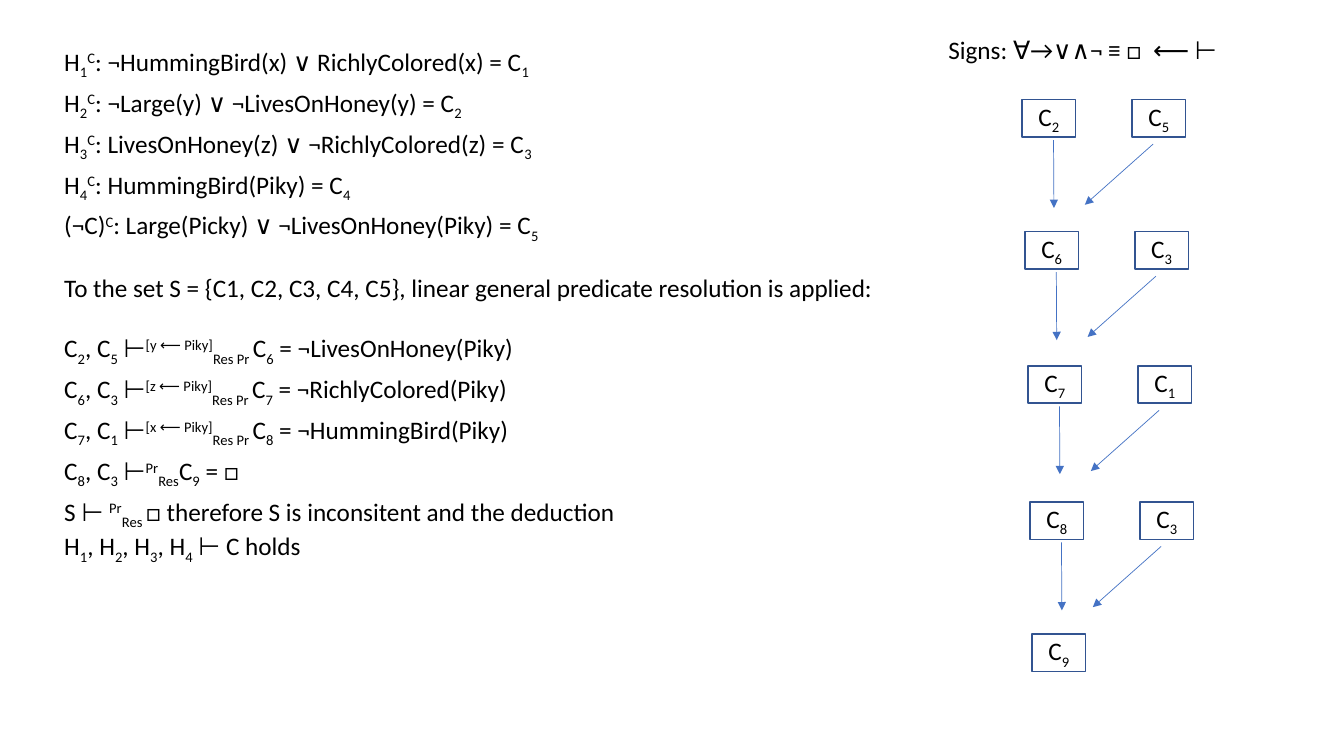
from lxml.etree import SubElement
from pptx import Presentation
from pptx.dml.color import RGBColor
from pptx.enum.shapes import MSO_CONNECTOR, MSO_SHAPE
from pptx.enum.text import MSO_ANCHOR, MSO_AUTO_SIZE, PP_ALIGN
from pptx.oxml.ns import qn
from pptx.util import Cm, Pt

# In texts "|" parts the runs, "_" opens a subscript and "^" a superscript.
# Each text: width in cm, wording.
CLAUSES = [
    (12.45, "H|_1|^C|: ¬HummingBird(x) ∨ RichlyColored(x) = C|_1"),
    (10.59, "H|_2|^C|: ¬Large(y) ∨ ¬LivesOnHoney(y) = C|_2"),
    (12.4, "H|_3|^C|: LivesOnHoney(z) ∨ ¬RichlyColored(z) = C|_3"),
    (18.01, "H|_4|^C|: HummingBird(Piky) = C|_4"),
    (12.7, "(¬C)|^C|: Large(Picky) ∨ ¬LivesOnHoney(Piky) = C|_5"),
]
INTRO = [(22.91, "To the set S = {C1, C2, C3, C4, C5}, "
                 "linear general predicate resolution is applied:")]
STEPS = [
    (12.4, "C|_2|, C|_5| ⊢|^[y ⟵ Piky]|_Res Pr |C|_6| = ¬LivesOnHoney(Piky)"),
    (12.7, "C|_6|, C|_3| ⊢|^[z ⟵ Piky]|_Res Pr |C|_7| = ¬RichlyColored(Piky)"),
    (12.7, "C|_7|, C|_1| ⊢|^[x ⟵ Piky]|_Res Pr |C|_8| = ¬HummingBird(Piky)"),
    (12.7, "C|_8|, C|_3| ⊢|^Pr|_Res|C|_9| = □"),
    (14.63, "S ⊢ |^Pr|_Res |□ therefore S is inconsitent and the deduction\n"
            "H|_1|, H|_2|, H|_3|, H|_4| ⊢ C holds"),
]
SIGNS = "Signs: ∀→∨∧¬ ≡ □  ⟵ ⊢"

# Tree rows: left and top in cm, then the clauses that are resolved
TREE = [
    (25.76, 2.51, (2, 5)),
    (25.83, 5.84, (6, 3)),
    (25.91, 9.22, (7, 1)),
    (25.96, 12.65, (8, 3)),
    (26.01, 15.98, (9,)),
]
# Arrows as offsets from a row's corner: start x, y, end x, y
ARROWS = [(0.79, 1.02, 0.8, 2.73), (3.3, 1.12, 1.58, 2.65)]

THEME = dict(font="Calibri", size=18, thin=0.5, edge=1,
             ink="000000", frame="325491", arrow="4472C4")
SHIFT = {"_": "-25000", "^": "30000"}
LEFT, PITCH, HIGH = 1.37, 1.03, 1.02
BOX_W, BOX_H, GAP = 1.35, 0.94, 2.77


def color(name):
    return RGBColor.from_string(THEME[name])


def write(shape, text, align=PP_ALIGN.LEFT, anchor=MSO_ANCHOR.TOP,
          fit=MSO_AUTO_SIZE.NONE):
    frame = shape.text_frame
    frame.word_wrap = True
    frame.auto_size = fit
    frame.vertical_anchor = anchor
    para = frame.paragraphs[0]
    para.alignment = align
    for part in text.split("|"):
        shift = SHIFT.get(part[0])
        for i, line in enumerate((part[1:] if shift else part).split("\n")):
            if i:
                para.add_line_break()
            run = para.add_run()
            run.text = line
            run.font.name = THEME["font"]
            run.font.size = Pt(THEME["size"])
            run.font.color.rgb = color("ink")
            if shift:
                run.font._element.set("baseline", shift)


def label(slide, x, y, wide, text, high=HIGH):
    box = slide.shapes.add_textbox(Cm(x), Cm(y), Cm(wide), Cm(high))
    write(box, text, fit=MSO_AUTO_SIZE.SHAPE_TO_FIT_TEXT)


def stack(slide, top, lines):
    """Place lines of text below each other at an even pitch."""
    for i, (wide, text) in enumerate(lines):
        high = 1.8 if "\n" in text else HIGH
        label(slide, LEFT, top + i * PITCH, wide, text, high)


def node(slide, x, y, num):
    box = slide.shapes.add_shape(MSO_SHAPE.RECTANGLE, Cm(x), Cm(y),
                                 Cm(BOX_W), Cm(BOX_H))
    box.shadow.inherit = False
    box.fill.background()
    box.line.color.rgb = color("frame")
    box.line.width = Pt(THEME["edge"])
    write(box, f"C|_{num}", align=PP_ALIGN.CENTER, anchor=MSO_ANCHOR.MIDDLE)


def arrow(slide, *ends):
    link = slide.shapes.add_connector(MSO_CONNECTOR.STRAIGHT,
                                      *[Cm(end) for end in ends])
    link.line.color.rgb = color("arrow")
    link.line.width = Pt(THEME["thin"])
    SubElement(link.line._get_or_add_ln(), qn("a:tailEnd"), type="triangle")
    SubElement(link._element.spPr, qn("a:effectLst"))


def main():
    deck = Presentation()
    deck.slide_width, deck.slide_height = Cm(33.87), Cm(19.05)
    slide = deck.slides.add_slide(deck.slide_layouts[6])
    stack(slide, 1.04, CLAUSES)
    stack(slide, 6.73, INTRO)
    stack(slide, 8.26, STEPS)
    label(slide, 23.65, 0.74, 7.62, SIGNS)
    for x, y, nums in TREE:
        for i, num in enumerate(nums):
            node(slide, x + i * GAP, y, num)
        if len(nums) == 2:
            for x1, y1, x2, y2 in ARROWS:
                arrow(slide, x + x1, y + y1, x + x2, y + y2)
    deck.save("out.pptx")


if __name__ == "__main__":
    main()
